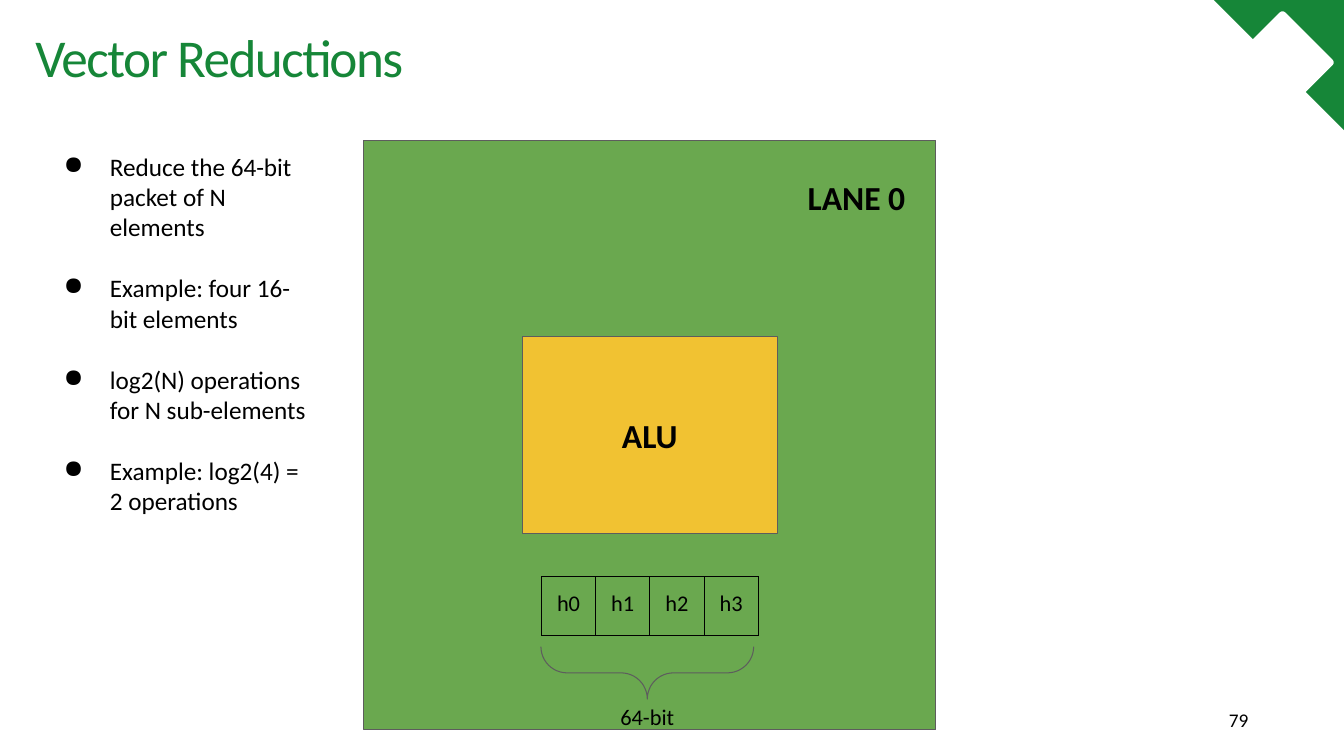
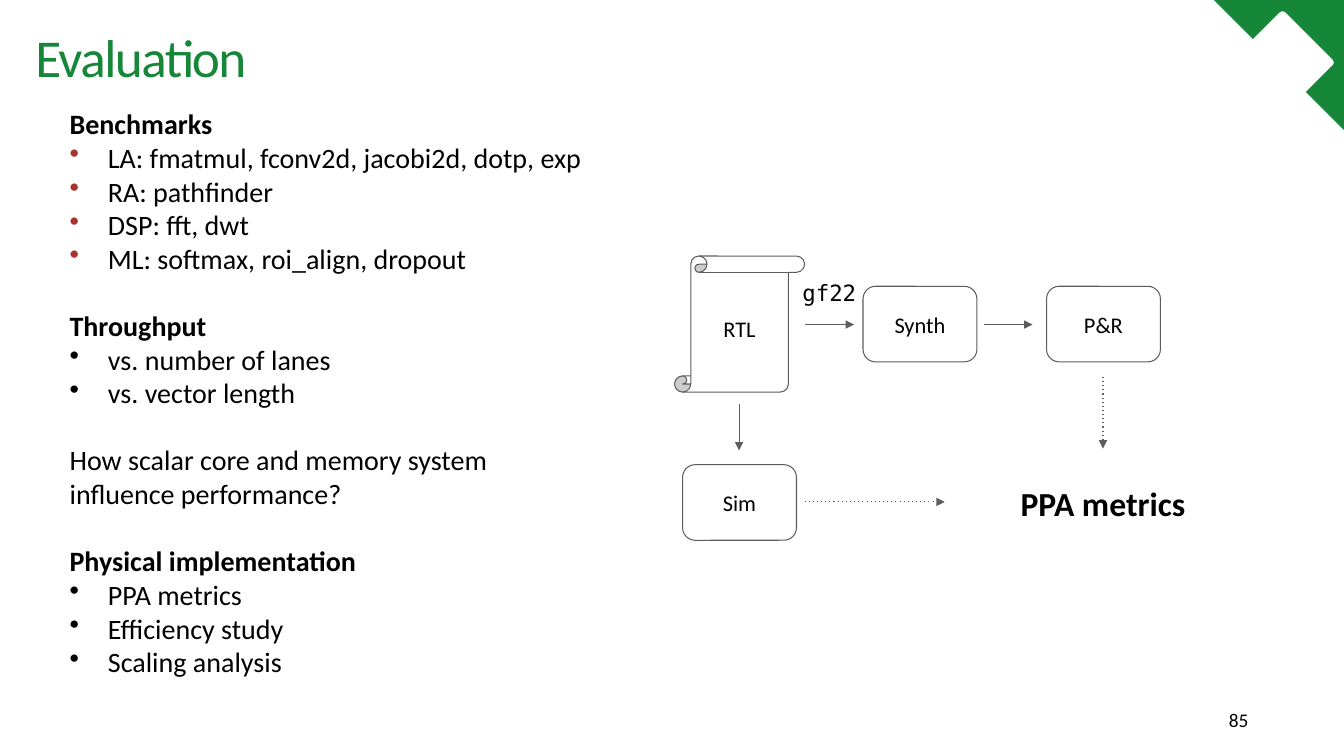
from dataclasses import dataclass

from lxml import etree
from pptx import Presentation
from pptx.dml.color import RGBColor
from pptx.enum.shapes import MSO_CONNECTOR, MSO_SHAPE
from pptx.enum.text import MSO_ANCHOR, MSO_AUTO_SIZE, PP_ALIGN
from pptx.oxml.ns import qn
from pptx.util import Inches, Pt

RECT = MSO_SHAPE.RECTANGLE
ROUND_RECT = MSO_SHAPE.ROUNDED_RECTANGLE
TRIANGLE = MSO_SHAPE.ISOSCELES_TRIANGLE
BRACE = MSO_SHAPE.LEFT_BRACE
SCROLL = MSO_SHAPE.VERTICAL_SCROLL
PROCESS = MSO_SHAPE.FLOWCHART_ALTERNATE_PROCESS
STRAIGHT = MSO_CONNECTOR.STRAIGHT
TOP, MIDDLE = MSO_ANCHOR.TOP, MSO_ANCHOR.MIDDLE
LEFT, CENTER = PP_ALIGN.LEFT, PP_ALIGN.CENTER
NO_AUTOFIT = MSO_AUTO_SIZE.NONE
TITLE_ONLY = 5


@dataclass(frozen=True)
class Theme:
    brand: str = "168638"
    ink: str = "000000"
    paper: str = "FFFFFF"
    outline: str = "5D5D5D"
    lane: str = "6AA84F"
    alu: str = "F1C232"
    accent: str = "A8322C"
    font: str = "Calibri"
    mono: str = "DejaVu Sans Mono"
    title: float = 38
    heading: float = 24
    body: float = 20
    note: float = 18
    label: float = 16
    number: float = 13.8
    line: float = 0.75
    inset: float = 0.13


def rgb(value):
    return RGBColor.from_string(value)


def inches(values):
    return [Inches(v) for v in values]


class Deck:
    def __init__(self, theme):
        self.theme = theme
        self.prs = Presentation()
        self.prs.slide_width = Inches(13.33)
        self.prs.slide_height = Inches(7.5)
        self.s = None

    def slide(self, title, number):
        t = self.theme
        self.s = self.prs.slides.add_slide(self.prs.slide_layouts[TITLE_ONLY])
        self.shape(TRIANGLE, (12.04, 0, 1.3, 1.3), t.brand, None, 270, 1)
        for at in ((12.12, 0.42, 0.41, 0.41), (12.35, 0.25, 0.74, 0.74)):
            self.shape(ROUND_RECT, at, t.paper, None, 45, 0.05)
        sp = self.s.shapes.title
        sp.left, sp.top, sp.width, sp.height = inches((0.35, 0.2, 11.67, 0.72))
        tf = self.frame(sp, MIDDLE, 0)
        r = self.run(tf.paragraphs[0], title, t.title, t.brand, align=LEFT)
        r.font._element.set("spc", "-110")
        self.text((12.09, 6.89, 0.39, 0.51), number, t.number, anchor=MIDDLE, inset=0)

    def frame(self, sp, anchor, inset):
        tf = sp.text_frame
        tf.word_wrap = True
        tf.auto_size = NO_AUTOFIT
        tf.vertical_anchor = anchor
        tf.margin_left = tf.margin_right = tf.margin_top = tf.margin_bottom = Inches(inset)
        return tf

    def run(self, p, text, size, color=None, bold=False, font=None, align=CENTER):
        p.alignment = align
        r = p.add_run()
        r.text = text
        r.font.name = font or self.theme.font
        r.font.size = Pt(size)
        r.font.bold = bold
        r.font.color.rgb = rgb(color or self.theme.ink)
        return r

    def shape(self, kind, at, fill=None, line=None, rotation=0, adjust=None,
              text=None, size=None, bold=False):
        sp = self.s.shapes.add_shape(kind, *inches(at))
        sp.shadow.inherit = False
        sp.rotation = rotation
        if adjust is not None:
            sp.adjustments[0] = adjust
        if fill:
            sp.fill.solid()
            sp.fill.fore_color.rgb = rgb(fill)
        else:
            sp.fill.background()
        if line:
            sp.line.color.rgb = rgb(line)
            sp.line.width = Pt(self.theme.line)
        else:
            sp.line.fill.background()
        if text:
            tf = self.frame(sp, MIDDLE, self.theme.inset)
            self.run(tf.paragraphs[0], text, size, bold=bold)

    def text(self, at, text, size, bold=False, font=None, anchor=TOP, inset=None):
        sp = self.s.shapes.add_textbox(*inches(at))
        tf = self.frame(sp, anchor, self.theme.inset if inset is None else inset)
        self.run(tf.paragraphs[0], text, size, bold=bold, font=font)

    def bullet(self, p, char, margin, hang, color=None):
        pPr = p._p.get_or_add_pPr()
        pPr.set("marL", str(Inches(margin)))
        pPr.set("indent", str(-Inches(hang)))
        if color:
            clr = etree.SubElement(pPr, qn("a:buClr"))
            etree.SubElement(clr, qn("a:srgbClr")).set("val", color)
        if char:
            etree.SubElement(pPr, qn("a:buChar")).set("char", char)

    def bullets(self, at, items, size, gap):
        tf = self.frame(self.s.shapes.add_textbox(*inches(at)), TOP, self.theme.inset)
        p = tf.paragraphs[0]
        for i, item in enumerate(items):
            if i:
                p = tf.add_paragraph()
                p.space_before = Pt(gap)
            self.bullet(p, "●", 0.67, 0.46)
            self.run(p, item, size, align=LEFT)

    def sections(self, at, sections, size, gap):
        tf = self.frame(self.s.shapes.add_textbox(*inches(at)), TOP, self.theme.inset)
        p = tf.paragraphs[0]
        for i, (lines, bold, items, color) in enumerate(sections):
            if i:
                p = tf.add_paragraph()
                p.space_before = Pt(gap)
            self.bullet(p, None, 0.22, 0)
            for j, line in enumerate(lines):
                if j:
                    p.add_line_break()
                self.run(p, line, size, bold=bold, align=LEFT)
            for item in items:
                p = tf.add_paragraph()
                self.bullet(p, "•", 0.6, 0.38, color)
                self.run(p, item, size, align=LEFT)

    def arrow(self, start, end, dotted=False):
        c = self.s.shapes.add_connector(STRAIGHT, *inches(start + end))
        c.line.color.rgb = rgb(self.theme.outline)
        c.line.width = Pt(self.theme.line)
        spPr = c._element.spPr
        ln = spPr.find(qn("a:ln"))
        if dotted:
            etree.SubElement(ln, qn("a:prstDash")).set("val", "dot")
        etree.SubElement(ln, qn("a:tailEnd")).set("type", "triangle")
        etree.SubElement(spPr, qn("a:effectLst"))

    def table_row(self, at, values, size):
        t = self.theme
        table = self.s.shapes.add_table(1, len(values), *inches(at)).table
        table.first_row = table.horz_banding = False
        for cell, value in zip(table.iter_cells(), values):
            cell.margin_left = cell.margin_right = Inches(t.inset)
            cell.margin_top = cell.margin_bottom = Inches(t.inset)
            self.run(cell.text_frame.paragraphs[0], value, size)
            tcPr = cell._tc.get_or_add_tcPr()
            for side in ("a:lnL", "a:lnR", "a:lnT", "a:lnB"):
                ln = etree.SubElement(tcPr, qn(side))
                ln.set("w", str(Pt(t.line)))
                fill = etree.SubElement(ln, qn("a:solidFill"))
                etree.SubElement(fill, qn("a:srgbClr")).set("val", t.ink)
            cell.fill.background()


def vector_reductions(d):
    t = d.theme
    d.slide("Vector Reductions", "79")
    d.shape(RECT, (3.61, 1.39, 5.67, 5.85), t.lane, t.outline)
    d.shape(RECT, (5.18, 3.34, 2.53, 1.95), t.alu, t.outline,
            text="ALU", size=t.heading, bold=True)
    d.text((7.06, 1.63, 2.87, 0.67), "LANE 0", t.heading, bold=True)
    d.table_row((5.37, 5.72, 2.15, 0.58), ["h0", "h1", "h2", "h3"], t.label)
    d.text((5.65, 6.85, 1.54, 0.54), "64-bit", t.label)
    d.shape(BRACE, (6.16, 5.62, 0.52, 2.11), None, t.outline, 270, 0.5)
    d.bullets((0.29, 1.37, 2.93, 3.9), [
        "Reduce the 64-bit packet of N elements",
        "Example: four 16-bit elements",
        "log2(N) operations for N sub-elements",
        "Example: log2(4) = 2 operations",
    ], t.note, 22)


def evaluation(d):
    t = d.theme
    d.slide("Evaluation", "85")
    d.shape(SCROLL, (6.69, 2.54, 1.29, 1.35), t.paper, t.outline, text="RTL", size=t.label)
    for x, y, name in ((6.77, 4.61, "Sim"), (8.56, 2.84, "Synth"), (10.38, 2.84, "P&R")):
        d.shape(PROCESS, (x, y, 1.13, 0.75), t.paper, t.outline, text=name, size=t.label)
    d.arrow((7.98, 3.22), (8.47, 3.22))
    d.arrow((9.76, 3.22), (10.24, 3.22))
    d.arrow((7.33, 4.01), (7.33, 4.47))
    d.arrow((7.98, 4.98), (9.37, 4.98), dotted=True)
    d.arrow((10.94, 3.74), (10.94, 4.45), dotted=True)
    d.text((7.58, 2.64, 1.29, 0.54), "gf22", t.label, font=t.mono)
    d.text((9.32, 4.66, 3.24, 0.67), "PPA metrics", t.heading, bold=True)
    d.sections((0.34, 0.93, 10.39, 5.99), [
        (["Benchmarks"], True, [
            "LA: fmatmul, fconv2d, jacobi2d, dotp, exp",
            "RA: pathfinder",
            "DSP: fft, dwt",
            "ML: softmax, roi_align, dropout",
        ], t.accent),
        (["Throughput"], True, ["vs. number of lanes", "vs. vector length"], None),
        (["How scalar core and memory system", "influence performance?"], False, [], None),
        (["Physical implementation"], True,
         ["PPA metrics", "Efficiency study", "Scaling analysis"], None),
    ], t.body, 24)


def main():
    d = Deck(Theme())
    vector_reductions(d)
    evaluation(d)
    d.prs.save("out.pptx")


if __name__ == "__main__":
    main()
